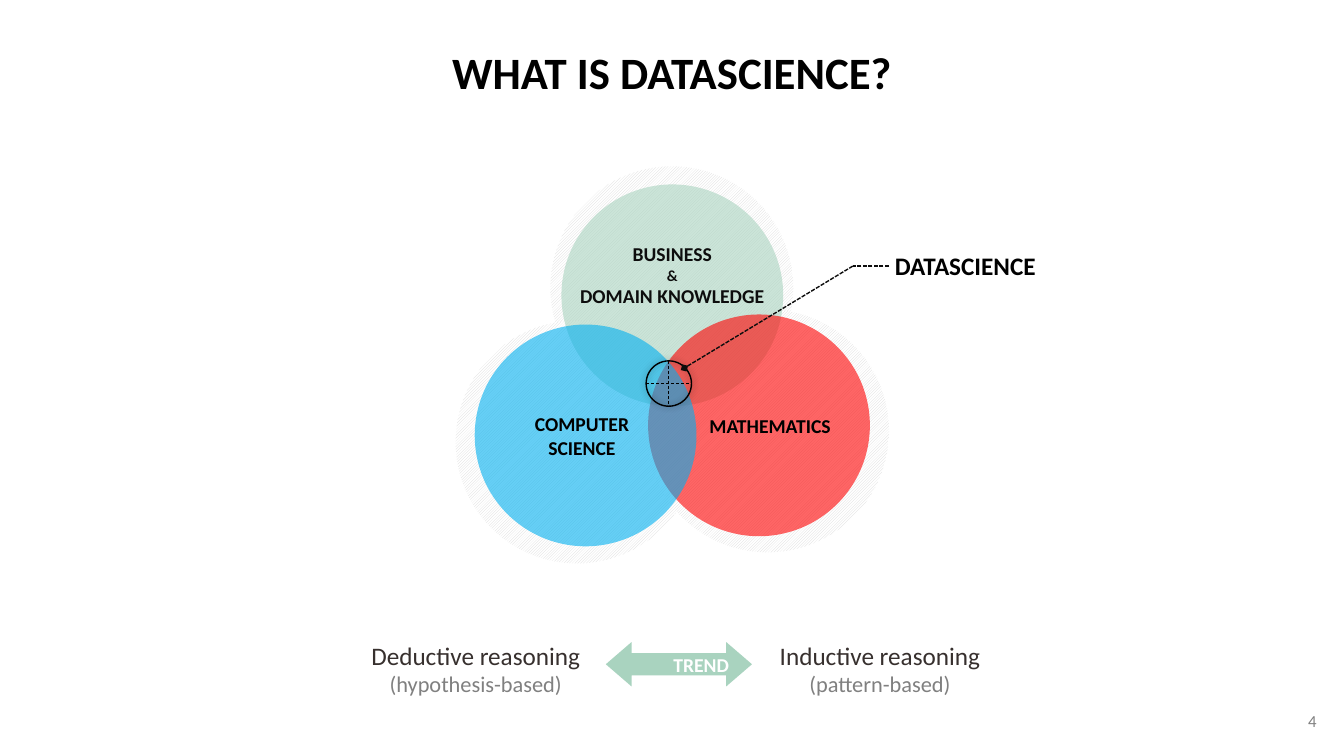
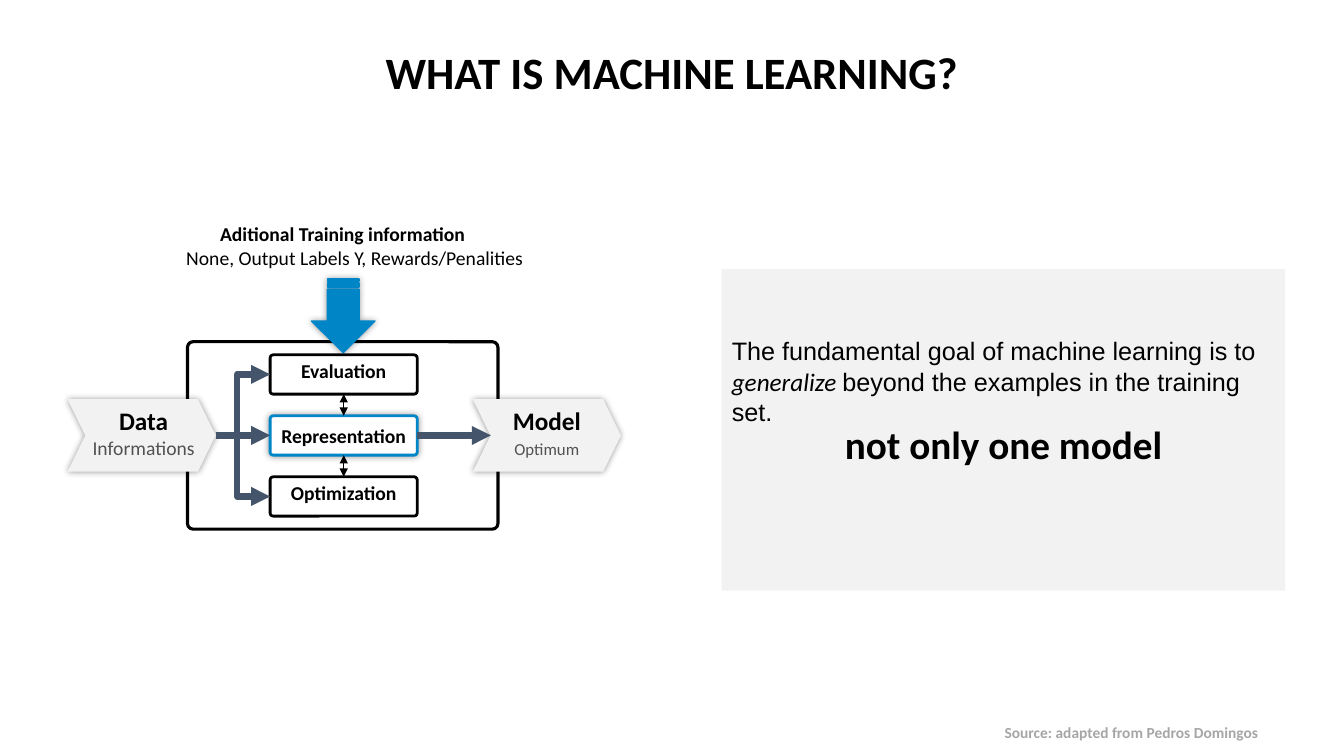
"""Build two slides that explain data science and machine learning."""
from dataclasses import dataclass
from typing import NamedTuple, Optional, Union

from lxml.etree import SubElement
from pptx import Presentation
from pptx.dml.color import RGBColor
from pptx.enum.dml import MSO_LINE, MSO_PATTERN
from pptx.enum.shapes import MSO_CONNECTOR, MSO_SHAPE
from pptx.enum.text import MSO_ANCHOR, MSO_AUTO_SIZE, PP_ALIGN
from pptx.oxml.ns import qn
from pptx.shapes.autoshape import Shape
from pptx.shapes.connector import Connector
from pptx.slide import Slide
from pptx.text.text import TextFrame
from pptx.util import Inches, Pt

CELL = Inches(0.1)
COLUMNS, ROWS = 133.33, 75
TOP, LEFT, BOTTOM, RIGHT = range(4)


@dataclass(frozen=True)
class Theme:
    """Colours, fonts and type sizes of the deck."""
    font: str = "Calibri"
    prose_font: str = "Arial"
    black: str = "000000"
    ink: str = "0D0D0D"
    brown: str = "37302E"
    dark_gray: str = "525252"
    gray: str = "808080"
    source_gray: str = "A6A6A6"
    hatch: str = "D9D9D9"
    panel: str = "F2F2F2"
    white: str = "FFFFFF"
    green: str = "A9D3BF"
    red: str = "FF0000"
    sky: str = "00B0F0"
    blue: str = "0085C7"
    slate: str = "44546A"
    title: int = 32
    statement: int = 28
    heading: int = 18
    detail: int = 16
    label: int = 14
    note: int = 12
    small: int = 11


THEME = Theme()


class Area(NamedTuple):
    """A rectangle in grid columns and rows."""
    left: float
    top: float
    width: float
    height: float

    def lengths(self) -> list[int]:
        """Return the rectangle in slide units."""
        return [round(value * CELL) for value in self]


class Insets(NamedTuple):
    """Text margins in grid cells."""
    left: float = 1
    top: float = 0.5
    right: float = 1
    bottom: float = 0.5


class Point(NamedTuple):
    """A place in grid columns and rows."""
    column: float
    row: float


class Joint(NamedTuple):
    """A connection site of a shape."""
    shape: Shape
    site: int


class Line(NamedTuple):
    """One line of text with its format."""
    text: str
    size: int = THEME.label
    color: str = THEME.black
    bold: bool = True
    leading: Optional[float] = None


@dataclass(frozen=True)
class Circle:
    """One field of the Venn diagram."""
    area: Area
    color: str
    lines: tuple[Line, ...]
    insets: Insets


@dataclass(frozen=True)
class Stage:
    """A chevron at one end of the learning flow."""
    left: float
    lines: tuple[Line, ...]
    insets: Insets


@dataclass(frozen=True)
class Step:
    """A box inside the learner."""
    text: str
    line: str = THEME.black
    fill: Optional[str] = None
    shadow: bool = False
    leading: Optional[float] = 11


HATCHED = (Area(54.6, 16.5, 24.1, 24.1), Area(45.2, 31.8, 24.1, 24.1), Area(64.1, 30.7, 24.1, 24.1))
CIRCLES = (
    Circle(Area(55.7, 18.3, 22, 22), THEME.green,
           (Line("BUSINESS", color=THEME.ink), Line("&", THEME.small, THEME.ink),
            Line("DOMAIN KNOWLEDGE", color=THEME.ink)), Insets(1, 0.4, 1, 4.4)),
    Circle(Area(64.3, 31.2, 22, 22), THEME.red, (Line("MATHEMATICS"),), Insets(left=3.2)),
    Circle(Area(47.1, 32.2, 22, 22), THEME.sky, (Line("COMPUTER"), Line("SCIENCE")), Insets(right=1.7)),
)
REASONINGS = ((34.4, "Deductive reasoning", "(hypothesis-based)"),
              (74.5, "Inductive reasoning", "(pattern-based)"))
STAGES = (
    Stage(6.7, (Line("Data", THEME.heading, leading=17),
                Line("Informations", THEME.label, THEME.dark_gray, False, 17)), Insets(0.4, 0.5, 0, 0.5)),
    Stage(46.9, (Line("Model", THEME.heading, leading=17),
                 Line("Optimum", THEME.note, THEME.dark_gray, False, 17)), Insets(0, 0.5, 0, 0.5)),
)
STEPS = (Step("Evaluation"), Step("Representation", THEME.blue, THEME.white, True, None), Step("Optimization"))
CAPTIONS = ((15.7, 21.5, "Aditional Training information", True),
            (16.9, 23.9, "None, Output Labels Y, Rewards/Penalities", False))


def write(frame: TextFrame, text: str, *, size: int = THEME.label, color: str = THEME.black,
          bold: bool = False, italic: bool = False, font: str = THEME.font,
          align: PP_ALIGN = PP_ALIGN.CENTER, leading: Optional[float] = None,
          joined: bool = False) -> None:
    """Add a paragraph, or a span joined to the last one."""
    para = frame.paragraphs[-1] if joined or not frame.text else frame.add_paragraph()
    para.alignment = align
    para.space_before = para.space_after = Pt(0)
    if leading:
        para.line_spacing = Pt(leading)
    span = para.add_run()
    span.text = text
    span.font.name, span.font.size = font, Pt(size)
    span.font.bold, span.font.italic = bold, italic
    span.font.color.rgb = RGBColor.from_string(color)


def write_lines(frame: TextFrame, lines: tuple[Line, ...]) -> None:
    """Write centred lines, one paragraph each."""
    for line in lines:
        write(frame, line.text, size=line.size, color=line.color, bold=line.bold, leading=line.leading)


def set_frame(frame: TextFrame, insets: Insets = Insets(), wrap: bool = True,
              anchor: MSO_ANCHOR = MSO_ANCHOR.TOP) -> TextFrame:
    """Set margins, wrapping and anchor of a text frame."""
    frame.auto_size = MSO_AUTO_SIZE.NONE
    frame.word_wrap, frame.vertical_anchor = wrap, anchor
    frame.margin_left, frame.margin_top, frame.margin_right, frame.margin_bottom = (
        round(value * CELL) for value in insets)
    return frame


def place(box: Shape, area: Area) -> None:
    """Move a shape to an area of the grid."""
    box.left, box.top, box.width, box.height = area.lengths()


def add_text(page: Slide, area: Area, insets: Insets = Insets(),
             anchor: MSO_ANCHOR = MSO_ANCHOR.TOP) -> TextFrame:
    """Add a text box and return its frame."""
    return set_frame(page.shapes.add_textbox(*area.lengths()).text_frame, insets, anchor=anchor)


def add_figure(page: Slide, kind: MSO_SHAPE, area: Area, *, fill: Optional[str] = None,
               alpha: int = 100, line: Optional[str] = None, weight: float = 1,
               shadow: bool = False, adjust: tuple[float, ...] = ()) -> Shape:
    """Add a preset shape with its fill, outline and glow-like shadow."""
    box = page.shapes.add_shape(kind, *area.lengths())
    for index, value in enumerate(adjust):
        box.adjustments[index] = value
    if fill:
        box.fill.solid()
        box.fill.fore_color.rgb = RGBColor.from_string(fill)
        if alpha < 100:
            color = box.element.spPr.find(qn("a:solidFill"))[0]
            SubElement(color, qn("a:alpha"), val=str(alpha * 1000))
    else:
        box.fill.background()
    if line:
        box.line.color.rgb, box.line.width = RGBColor.from_string(line), Pt(weight)
    else:
        box.line.fill.background()
    box.shadow.inherit = False
    if shadow:
        effects = box.element.spPr.find(qn("a:effectLst"))
        outer = SubElement(effects, qn("a:outerShdw"), blurRad=str(Pt(5)), dist="0", dir="0",
                           algn="ctr", rotWithShape="0")
        color = SubElement(outer, qn("a:srgbClr"), val=THEME.black)
        SubElement(color, qn("a:alpha"), val="40000")
    return box


def add_link(page: Slide, begin: Union[Point, Joint], end: Union[Point, Joint], *, color: str = THEME.black,
             weight: float = 1, dash: Optional[MSO_LINE] = None, head: Optional[str] = None,
             tail: Optional[str] = None, bend: Optional[float] = None) -> Connector:
    """Draw a straight or bent connector between points or joints."""
    kind = MSO_CONNECTOR.STRAIGHT if bend is None else MSO_CONNECTOR.ELBOW
    ends = [place if isinstance(place, Point) else Point(0, 0) for place in (begin, end)]
    link = page.shapes.add_connector(kind, *(round(value * CELL) for point in ends for value in point))
    if isinstance(begin, Joint):
        link.begin_connect(*begin)
    if isinstance(end, Joint):
        link.end_connect(*end)
    link.line.color.rgb, link.line.width = RGBColor.from_string(color), Pt(weight)
    if dash:
        link.line.dash_style = dash
    outline = link.line._get_or_add_ln()
    for tag, arrow in (("a:headEnd", head), ("a:tailEnd", tail)):
        if arrow:
            SubElement(outline, qn(tag), type=arrow)
    SubElement(link.element.spPr, qn("a:effectLst"))
    if bend is not None:
        guides = link.element.spPr.find(qn("a:prstGeom")).get_or_add_avLst()
        SubElement(guides, qn("a:gd"), name="adj1", fmla=f"val {round(bend * 100000)}")
    return link


def add_page(deck: Presentation, layout: int, title: str) -> Slide:
    """Add a slide with the shared title style."""
    page = deck.slides.add_slide(deck.slide_layouts[layout])
    place(page.shapes.title, Area(0, 3.9, COLUMNS, 6.4))
    write(set_frame(page.shapes.title.text_frame), title, size=THEME.title, bold=True)
    return page


def draw_data_science(deck: Presentation) -> None:
    """Draw the Venn diagram and the reasoning trend."""
    page = add_page(deck, 5, "WHAT IS DATASCIENCE?")
    write(add_text(page, Area(101.6, 69.5, 30, 4), anchor=MSO_ANCHOR.MIDDLE), "4",
          size=THEME.note, color=THEME.gray, align=PP_ALIGN.RIGHT)
    for area in HATCHED:
        ring = add_figure(page, MSO_SHAPE.OVAL, area)
        ring.fill.patterned()
        ring.fill.pattern = MSO_PATTERN.DARK_UPWARD_DIAGONAL
        ring.fill.fore_color.rgb = RGBColor.from_string(THEME.hatch)
        ring.fill.back_color.rgb = RGBColor.from_string(THEME.white)
    for circle in CIRCLES:
        box = add_figure(page, MSO_SHAPE.OVAL, circle.area, fill=circle.color, alpha=60)
        write_lines(set_frame(box.text_frame, circle.insets, False, MSO_ANCHOR.MIDDLE), circle.lines)
    write(add_text(page, Area(87.8, 24.3, 18, 4)), "DATASCIENCE", size=THEME.heading,
          bold=True, align=PP_ALIGN.LEFT)
    for left, name, basis in REASONINGS:
        write_lines(add_text(page, Area(left, 63, 25.6, 6.7)),
                    (Line(name, THEME.heading, THEME.brown, False),
                     Line(basis, THEME.detail, THEME.gray, False)))
    trend = add_figure(page, MSO_SHAPE.LEFT_RIGHT_ARROW, Area(60.1, 63.7, 14.5, 4.4),
                       fill=THEME.green, adjust=(0.5, 0.58))
    write(set_frame(trend.text_frame, anchor=MSO_ANCHOR.MIDDLE), "TREND", color=THEME.white,
          bold=True, align=PP_ALIGN.RIGHT)
    target = Area(64.1, 35.8, 4.5, 4.5)
    middle = Point(target.left + target.width / 2, target.top + target.height / 2)
    add_link(page, Point(middle.column, target.top), Point(middle.column, target.top + target.height),
             weight=0.5, dash=MSO_LINE.DASH)
    add_link(page, Point(target.left, middle.row), Point(target.left + target.width, middle.row),
             weight=0.5, dash=MSO_LINE.DASH)
    add_figure(page, MSO_SHAPE.OVAL, target, line=THEME.black, shadow=True)
    corner = Point(84.6, 26.4)
    for begin, end, tail in ((Point(88.2, 26.4), corner, None), (corner, Point(67.9, 36.5), "diamond")):
        add_link(page, begin, end, color=THEME.ink, dash=MSO_LINE.SQUARE_DOT, tail=tail)


def draw_machine_learning(deck: Presentation) -> None:
    """Draw the learning flow beside the statement of its goal."""
    page = add_page(deck, 1, "WHAT IS MACHINE LEARNING?")
    goal = page.placeholders[1]
    place(goal, Area(71.6, 26.7, 55.9, 31.9))
    goal.fill.solid()
    goal.fill.fore_color.rgb = RGBColor.from_string(THEME.panel)
    frame = set_frame(goal.text_frame, Insets(top=6.6))
    for text, font, italic in (("The fundamental goal of machine learning is to ", THEME.prose_font, False),
                               ("generalize ", THEME.font, True),
                               ("beyond the examples in the training set.", THEME.prose_font, False)):
        write(frame, text, size=THEME.heading, font=font, italic=italic, align=PP_ALIGN.LEFT, joined=True)
    write(frame, "not only one model", size=THEME.statement, bold=True, leading=29)
    for para in frame.paragraphs:
        settings = para._p.get_or_add_pPr()
        settings.set("marL", "0")
        settings.set("indent", "0")
        SubElement(settings, qn("a:buNone"))
    add_figure(page, MSO_SHAPE.ROUNDED_RECTANGLE, Area(18.6, 33.9, 30.8, 18.6), line=THEME.black,
               weight=2.25, adjust=(0.03,))
    chevrons = []
    for stage in STAGES:
        box = add_figure(page, MSO_SHAPE.CHEVRON, Area(stage.left, 39.6, 14.7, 7.2),
                         fill=THEME.panel, shadow=True, adjust=(0.245,))
        write_lines(set_frame(box.text_frame, stage.insets, False, MSO_ANCHOR.MIDDLE), stage.lines)
        chevrons.append(box)
    arrow = add_figure(page, MSO_SHAPE.STRIPED_RIGHT_ARROW, Area(30.4, 28.2, 7.3, 6.3),
                       fill=THEME.blue, line=THEME.blue, shadow=True)
    arrow.rotation = 90
    for left, top, text, bold in CAPTIONS:
        write(add_text(page, Area(left, top, 36.6, 3.4), Insets(0, 0.5, 0, 0.5)), text, bold=bold)
    boxes = []
    for index, step in enumerate(STEPS):
        box = add_figure(page, MSO_SHAPE.ROUNDED_RECTANGLE, Area(26.8, 35.2 + 6.05 * index, 14.6, 3.9),
                         fill=step.fill, line=step.line, weight=2, shadow=step.shadow, adjust=(0.08,))
        write(set_frame(box.text_frame, Insets(0, 0, 0, 0), anchor=MSO_ANCHOR.MIDDLE), step.text,
              bold=True, leading=step.leading)
        boxes.append(box)
    for upper, lower in zip(boxes, boxes[1:]):
        add_link(page, Joint(upper, BOTTOM), Joint(lower, TOP), weight=0.75, head="triangle", tail="triangle")
    flow = {"color": THEME.slate, "weight": 4.5, "tail": "triangle"}
    for row in (37.15, 49.25):
        add_link(page, Point(21.4, 43.2), Point(26.8, row), bend=0.39, **flow)
    add_link(page, Joint(chevrons[0], RIGHT), Joint(boxes[1], LEFT), **flow)
    add_link(page, Joint(boxes[1], RIGHT), Point(48.7, 43.2), **flow)
    write(add_text(page, Area(97, 71.2, 30.5, 2.9), Insets(0, 0.5, 0, 0.5)),
          "Source: adapted from Pedros Domingos", size=THEME.small, color=THEME.source_gray, bold=True)


def main() -> None:
    """Build and save the deck."""
    deck = Presentation()
    deck.slide_width, deck.slide_height = round(COLUMNS * CELL), ROWS * CELL
    draw_data_science(deck)
    draw_machine_learning(deck)
    deck.save("out.pptx")


if __name__ == "__main__":
    main()
